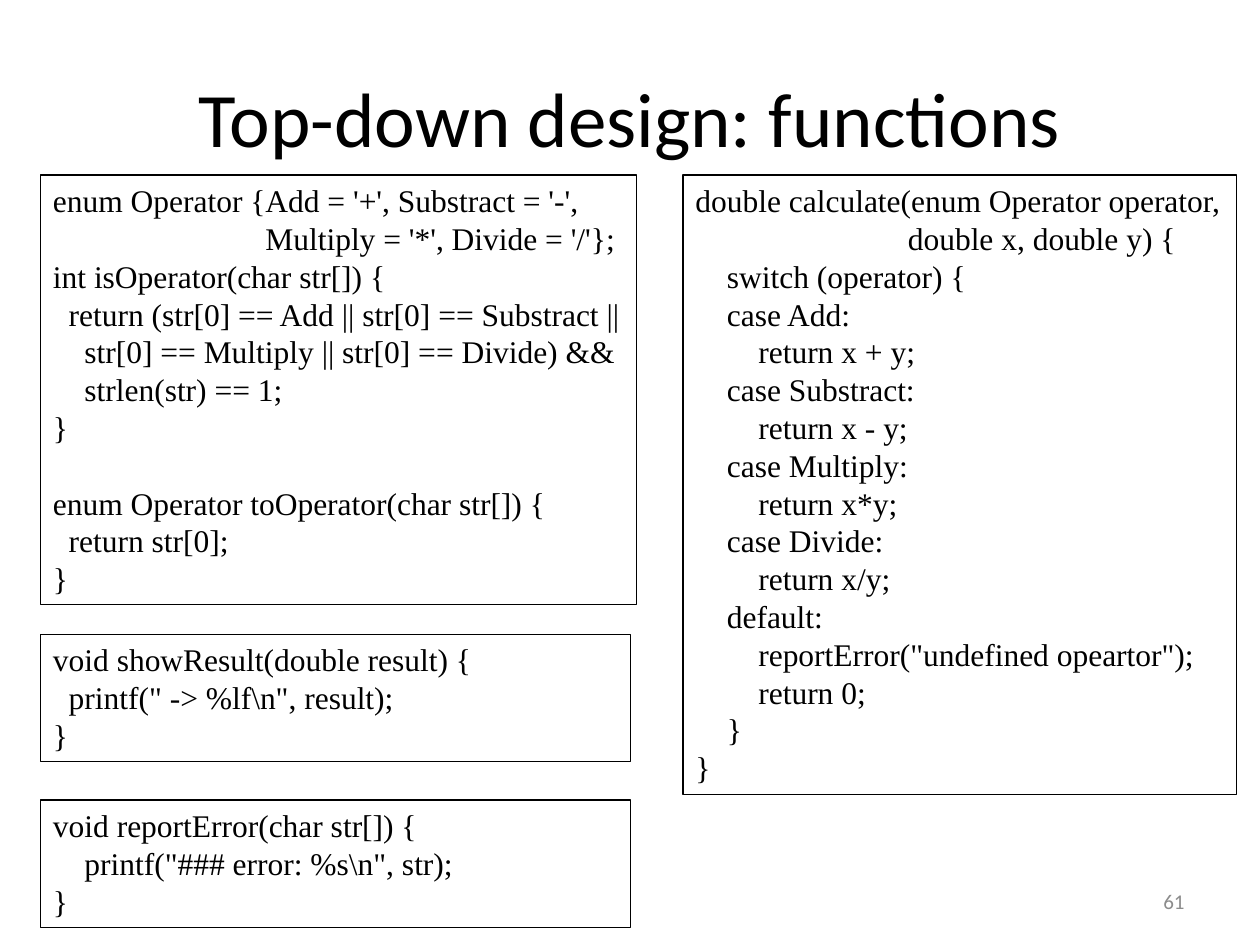
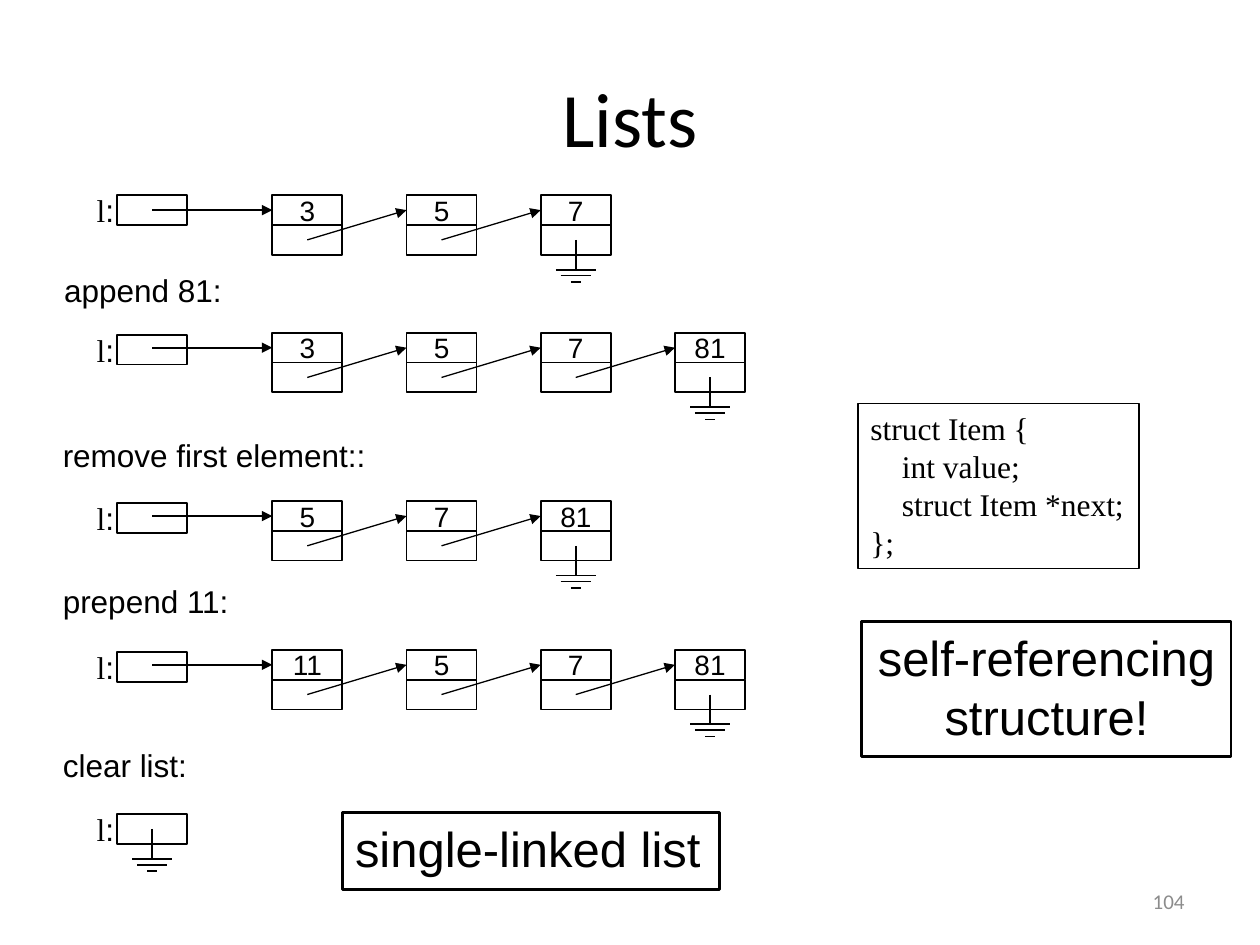
from dataclasses import dataclass

from lxml.etree import SubElement
from pptx import Presentation
from pptx.dml.color import RGBColor as RGB
from pptx.enum.shapes import MSO_CONNECTOR as CONN, MSO_SHAPE as SHAPE
from pptx.enum.text import MSO_ANCHOR as ANCHOR, PP_ALIGN as ALIGN
from pptx.oxml.ns import qn
from pptx.util import Pt


@dataclass(frozen=True)
class Theme:
    ink: RGB = RGB(0, 0, 0)
    paper: RGB = RGB(255, 255, 255)
    muted: RGB = RGB(0x8C, 0x8C, 0x8C)
    heading: str = "Calibri"
    sans: str = "Arial"
    serif: str = "Times New Roman"
    title: int = 44
    callout: int = 28
    body: int = 18
    value: int = 16
    number: int = 12
    leading: float = 1.2


T = Theme()
LEFT = dict(margin_left=Pt(7.2), margin_right=0, margin_top=Pt(3.6),
            margin_bottom=Pt(3.6), vertical_anchor=ANCHOR.TOP)
CENTER = dict(LEFT, margin_left=0)
CELL = dict(CENTER, margin_top=0, margin_bottom=0, vertical_anchor=ANCHOR.MIDDLE)
NUMBER = dict(LEFT, margin_right=Pt(7.2), vertical_anchor=ANCHOR.MIDDLE)

CODE = dict(font=T.serif, size=T.body, border=0.75)
CAPTION = dict(font=T.sans, size=T.body)
POINTER = dict(font=T.serif, size=T.body)
CALLOUT = dict(font=T.sans, size=T.callout, border=1.5)
VALUE = dict(font=T.sans, size=T.value, border=1, fill=T.paper,
             frame=CELL, align=ALIGN.CENTER)
PAGE = dict(font=T.heading, size=T.number, color=T.muted,
            frame=NUMBER, align=ALIGN.RIGHT)


def add_box(s, x, y, w, h, text, font, size, color=T.ink, border=None,
            fill=None, frame=LEFT, align=ALIGN.LEFT):
    at = Pt(x), Pt(y), Pt(w), Pt(h)
    if border:
        sp = s.shapes.add_shape(SHAPE.RECTANGLE, *at)
        sp.shadow.inherit = False
        sp.line.color.rgb = T.ink
        sp.line.width = Pt(border)
        if fill is None:
            sp.fill.background()
        else:
            sp.fill.solid()
            sp.fill.fore_color.rgb = fill
    else:
        sp = s.shapes.add_textbox(*at)
    tf = sp.text_frame
    tf.word_wrap = True
    for name, value in frame.items():
        setattr(tf, name, value)
    p, gap = tf.paragraphs[0], 0
    for i, row in enumerate(text.split("\n")):
        if i and not row:
            gap = size * T.leading
            continue
        if i:
            p = tf.add_paragraph()
        p.alignment = align
        p.line_spacing = Pt(size * T.leading)
        if gap:
            p.space_before = Pt(gap)
            gap = 0
        if row:
            r = p.add_run()
            r.text = row
            for name, value in dict(name=font, size=Pt(size)).items():
                setattr(r.font, name, value)
            r.font.color.rgb = color
    return sp


def add_line(s, x1, y1, x2, y2, width=1, target=None):
    c = s.shapes.add_connector(CONN.STRAIGHT, Pt(x1), Pt(y1), Pt(x2), Pt(y2))
    c.line.color.rgb = T.ink
    c.line.width = Pt(width)
    if target is not None:
        SubElement(c.line._get_or_add_ln(), qn("a:tailEnd"), type="triangle")
        c.end_connect(target, 1)
    SubElement(c._element.spPr, qn("a:effectLst"))


prs = Presentation()
prs.slide_width, prs.slide_height = Pt(720), Pt(540)

slides = []
for heading, number in (("Top-down design: functions", "61"), ("Lists", "104")):
    s = prs.slides.add_slide(prs.slide_layouts[5])
    sp = s.shapes.title
    for name, value in dict(left=36, top=21.6, width=648, height=90).items():
        setattr(sp, name, Pt(value))
    sp.text_frame.text = heading
    sp.text_frame.vertical_anchor = ANCHOR.MIDDLE
    p = sp.text_frame.paragraphs[0]
    p.alignment = ALIGN.CENTER
    for name, value in dict(name=T.heading, size=Pt(T.title)).items():
        setattr(p.runs[0].font, name, value)
    p.runs[0].font.color.rgb = T.ink
    add_box(s, 516, 500.4, 168, 28.8, number, **PAGE)
    slides.append(s)

functions, lists = slides

OPERATORS = r"""enum Operator {Add = '+', Substract = '-',
                           Multiply = '*', Divide = '/'};
int isOperator(char str[]) {
  return (str[0] == Add || str[0] == Substract ||
    str[0] == Multiply || str[0] == Divide) &&
    strlen(str) == 1;
}

enum Operator toOperator(char str[]) {
  return str[0];
}"""

CALCULATE = r"""double calculate(enum Operator operator,
                           double x, double y) {
    switch (operator) {
    case Add:
        return x + y;
    case Substract:
        return x - y;
    case Multiply:
        return x*y;
    case Divide:
        return x/y;
    default:
        reportError("undefined opeartor");
        return 0;
    }
}"""

REPORT_ERROR = r"""void reportError(char str[]) {
    printf("### error: %s\n", str);
}"""

SHOW_RESULT = r"""void showResult(double result) {
  printf(" -> %lf\n", result);
}"""

ITEM = """struct Item {
    int value;
    struct Item *next;
};"""

for x, y, w, h, code in (
    (23.2, 100, 340.5, 245.6, OPERATORS),
    (390.3, 100, 316.2, 354.2, CALCULATE),
    (23.2, 457.2, 337, 72.8, REPORT_ERROR),
    (23.2, 362.4, 337, 72.8, SHOW_RESULT),
):
    add_box(functions, x, y, w, h, code, **CODE)

s = lists
CELL_W, CELL_H = 40, 17
POINTER_X, NODE_X, PITCH = 67, 155.6, 76.7
GROUND_BARS = ((17, 11.4), (20.4, 8.6), (24, 2.8))

for node_y, pointer_y, values in (
    (111.6, 111.6, ("3", "5", "7")),
    (190.2, 191.4, ("3", "5", "7", "81")),
    (286.4, 287.5, ("5", "7", "81")),
    (371.4, 372.7, ("11", "5", "7", "81")),
    (465.2, 465.2, ()),
):
    add_box(s, POINTER_X, pointer_y, CELL_W, CELL_H, "", **VALUE)
    sp = add_box(s, 48.2, pointer_y - 6, 24.5, 28.8, "l", **POINTER)
    r = sp.text_frame.paragraphs[0].add_run()
    r.text = ":"
    for name, value in dict(name=T.sans, size=Pt(T.body)).items():
        setattr(r.font, name, value)
    r.font.color.rgb = T.ink

    nodes = []
    for i, value in enumerate(values):
        x = NODE_X + i * PITCH
        nodes.append(add_box(s, x, node_y, CELL_W, CELL_H, value, **VALUE))
        add_box(s, x, node_y + CELL_H, CELL_W, CELL_H, "", **VALUE)

    mid_y = node_y + CELL_H / 2
    link_x, link_y = POINTER_X + CELL_W / 2, mid_y
    for i, node in enumerate(nodes):
        x = NODE_X + i * PITCH
        add_line(s, link_x, link_y, x, mid_y, 0.75 if i else 1, node)
        link_x, link_y = x + CELL_W / 2, mid_y + CELL_H

    add_line(s, link_x, link_y, link_x, link_y + GROUND_BARS[0][0])
    for dy, half in GROUND_BARS:
        add_line(s, link_x - half, link_y + dy, link_x + half, link_y + dy)

for x, y, w, caption in (
    (29.5, 151.2, 104.4, "append 81:"),
    (28.8, 245.5, 187.2, "remove first element::"),
    (28.8, 329, 110.2, "prepend 11:"),
    (28.8, 422.6, 85.7, "clear list:"),
):
    add_box(s, x, y, w, 28.8, caption, **CAPTION)

add_box(s, 490.3, 230.4, 160.6, 94.5, ITEM, **CODE)
add_box(s, 195.8, 464.4, 215.3, 43.9, "single-linked list", **CALLOUT)
add_box(s, 492.5, 355, 211, 77.5, "self-referencing\nstructure!",
        frame=CENTER, align=ALIGN.CENTER, **CALLOUT)

prs.save("out.pptx")
